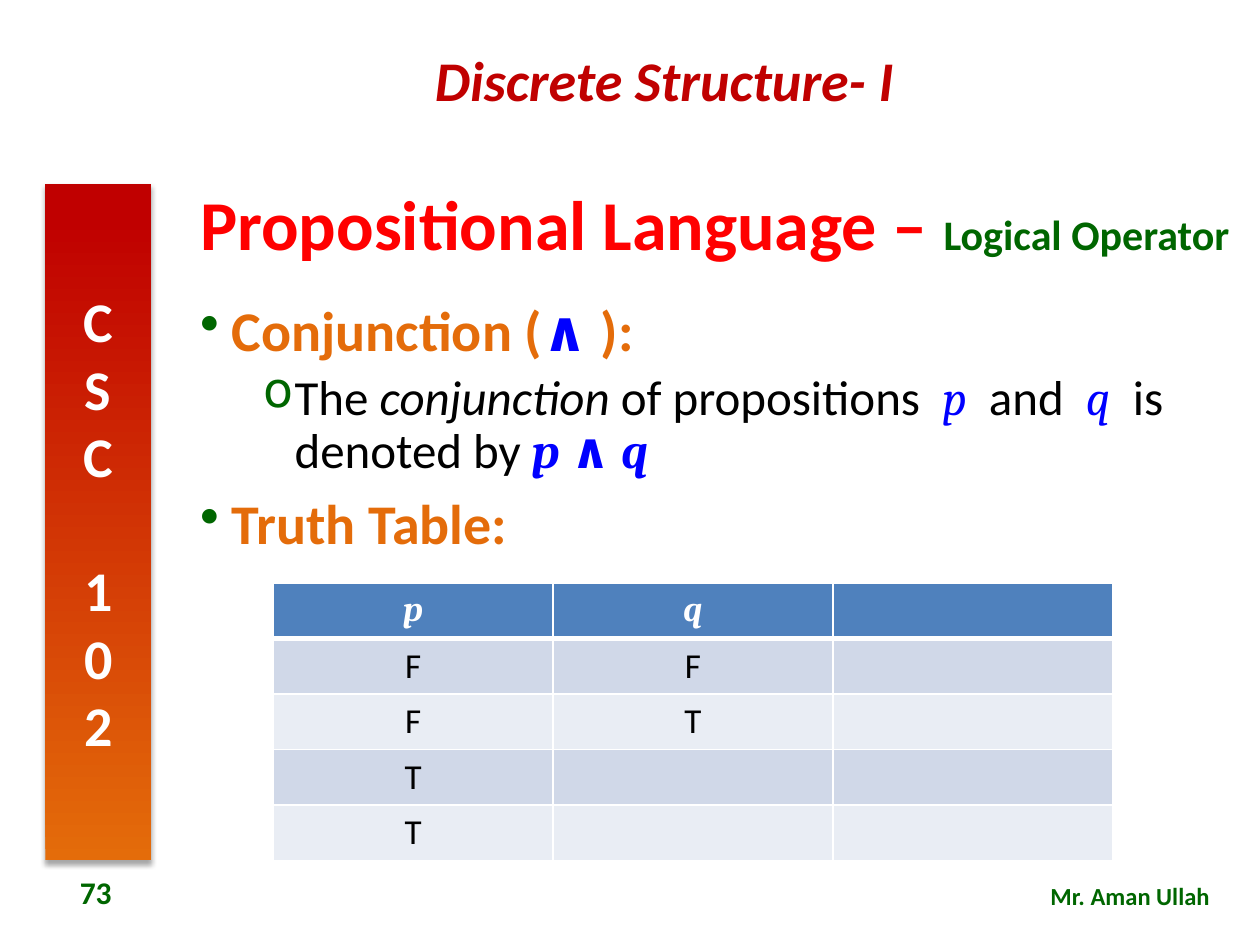
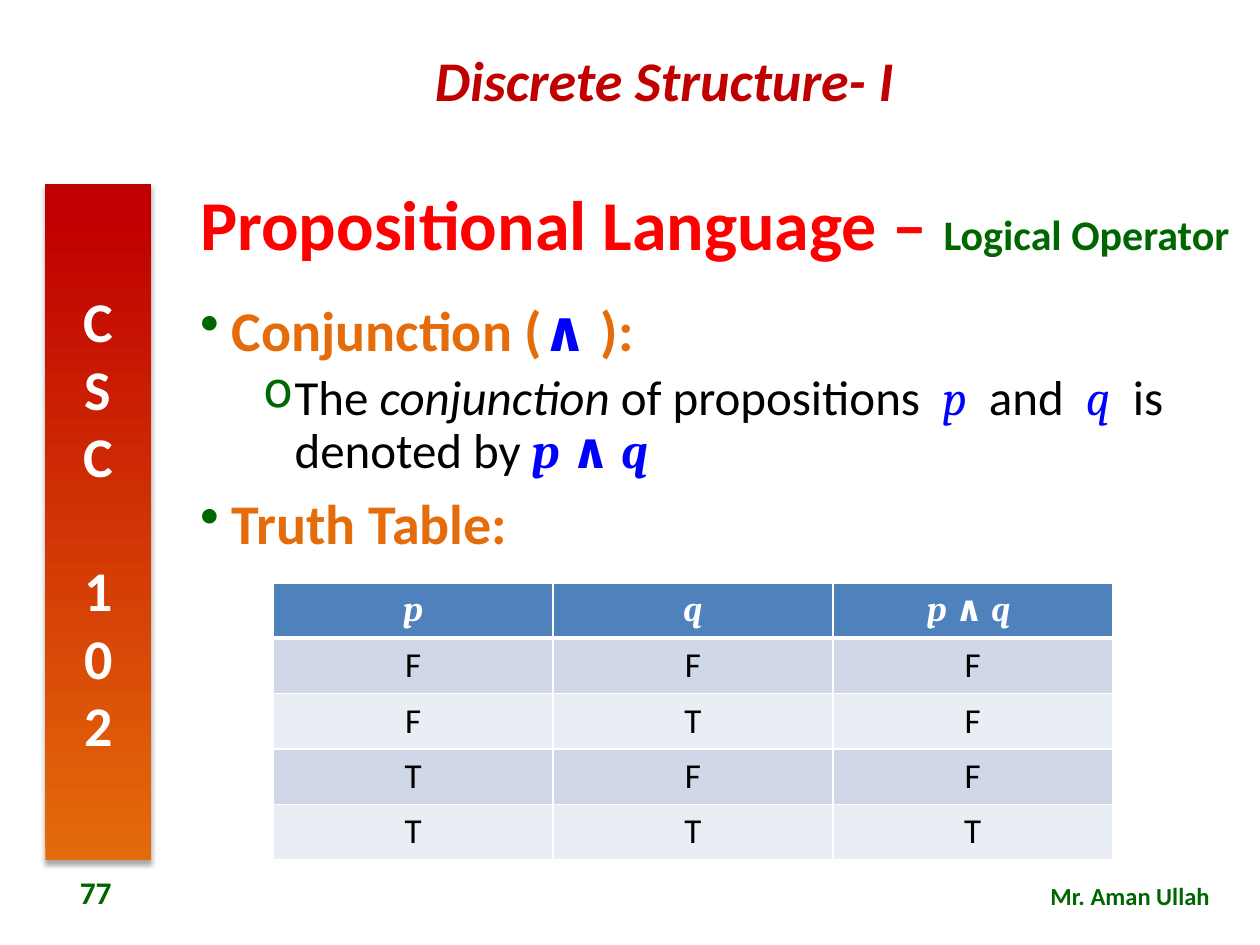
"""Builds two slides on logical conjunction, each with its truth table."""
from dataclasses import dataclass

from lxml import etree
from pptx import Presentation
from pptx.dml.color import RGBColor
from pptx.enum.shapes import MSO_SHAPE
from pptx.enum.text import MSO_ANCHOR, PP_ALIGN
from pptx.oxml.ns import qn
from pptx.util import Inches, Pt

RECT = MSO_SHAPE.RECTANGLE
TOP, MIDDLE = MSO_ANCHOR.TOP, MSO_ANCHOR.MIDDLE
LEFT, CENTER, RIGHT, JUSTIFY = PP_ALIGN.LEFT, PP_ALIGN.CENTER, PP_ALIGN.RIGHT, PP_ALIGN.JUSTIFY


@dataclass(frozen=True)
class Theme:
    sans: str = "Calibri"
    math: str = "Cambria"
    crimson: str = "C00000"
    red: str = "FF0000"
    orange: str = "E46C0A"
    green: str = "006600"
    blue: str = "0000FF"
    black: str = "000000"
    white: str = "FFFFFF"
    header: str = "4F81BD"
    bands: tuple = ("D0D8E8", "E9EDF4")
    title: int = 40
    heading: int = 32
    text: int = 28
    subtitle: int = 24
    cell: int = 20
    number: int = 18
    footer: int = 14


T = Theme()
WIDTH, HEIGHT = 10, 7.5
CONTENT_LEFT, CONTENT_WIDTH = 1.49, 8.39
TABLE_LEFT, TABLE_TOP, COLUMN_WIDTH, ROW_HEIGHT = 2.17, 4.63, 2.22, 0.44

STYLES = {
    "course": dict(size=T.heading, color=T.crimson, bold=True, italic=True),
    "band": dict(size=T.heading, color=T.white, bold=True),
    "title": dict(size=T.title, color=T.red, bold=True),
    "subtitle": dict(size=T.subtitle, color=T.green, bold=True),
    "footer": dict(size=T.footer, color=T.green, bold=True),
    "number": dict(size=T.number, color=T.green, bold=True),
    "heading": dict(size=T.heading, color=T.orange, bold=True),
    "heading_sign": dict(size=T.heading, color=T.blue, bold=True, font=T.math),
    "text": dict(size=T.text, color=T.black),
    "term": dict(size=T.text, color=T.black, italic=True),
    "variable": dict(size=T.text, color=T.blue, italic=True, font=T.math),
    "formula": dict(size=T.text, color=T.blue, bold=True, italic=True, font=T.math),
    "formula_sign": dict(size=T.text, color=T.blue, bold=True, font=T.math),
    "head": dict(size=T.cell, color=T.white, bold=True, italic=True, font=T.math),
    "head_sign": dict(size=T.cell, color=T.white, bold=True, font=T.math),
    "value": dict(size=T.cell, color=T.black),
}

COURSE, CODE, TEACHER = "Discrete Structure- I", "CSC 102", "Mr. Aman Ullah"
TITLE = [("Propositional Language – ", "title"), ("Logical Operator", "subtitle")]
BODY = [
    (0, [("Conjunction (", "heading"), ("∧", "heading_sign"), (" ):", "heading")]),
    (1, [("The ", "text"), ("conjunction", "term"), (" of propositions  ", "text"),
         ("p", "variable"), ("  and  ", "text"), ("q ", "variable"),
         (" is denoted by ", "text"), ("p ", "formula"), ("∧ ", "formula_sign"),
         ("q", "formula")]),
    (0, [("Truth Table:", "heading")]),
]
LEVELS = [dict(bullet="•", indent=0.25, before=10), dict(bullet="o", indent=0.75, before=5)]
P, Q = [("p", "head")], [("q", "head")]
P_AND_Q = [("p ", "head"), ("∧ ", "head_sign"), ("q ", "head")]
SLIDES = [
    dict(number="73", header=[P, Q, []], header_height=0.44,
         rows=[("F", "F", ""), ("F", "T", ""), ("T", "", ""), ("T", "", "")]),
    dict(number="77", header=[P, Q, P_AND_Q], header_height=0.41,
         rows=[("F", "F", "F"), ("F", "T", "F"), ("T", "F", "F"), ("T", "T", "T")]),
]


def rgb(color):
    return RGBColor.from_string(color)


def add_run(p, text, size, color, bold=False, italic=False, font=T.sans):
    r = p.add_run()
    r.text = text
    r.font.name, r.font.size = font, Pt(size)
    r.font.bold, r.font.italic = bold, italic
    r.font.color.rgb = rgb(color)


def write(p, runs, align=LEFT):
    p.alignment = align
    for text, style in runs:
        add_run(p, text, **STYLES[style])


def add_text(s, box, runs, align=LEFT, anchor=TOP, spacing=None):
    tf = s.shapes.add_textbox(*map(Inches, box)).text_frame
    tf.word_wrap, tf.vertical_anchor = True, anchor
    p = tf.paragraphs[0]
    p.line_spacing = spacing
    write(p, runs, align)
    return tf


def child(parent, tag, **attributes):
    return etree.SubElement(parent, qn(tag), {k: str(v) for k, v in attributes.items()})


def add_band(s):
    sp = s.shapes.add_shape(RECT, *map(Inches, (0.36, 1.46, 0.84, 5.37)))
    sp.shadow.inherit = False
    sp.line.fill.background()
    sp.fill.gradient()
    sp.fill.gradient_angle = 90
    for stop, color, position in zip(sp.fill.gradient_stops, (T.orange, T.crimson), (0, 0.95)):
        stop.color.rgb, stop.position = rgb(color), position
    effects = sp.element.spPr.find(qn("a:effectLst"))
    shadow = child(effects, "a:outerShdw", blurRad=Pt(3.1), dist=Pt(1.8),
                   dir=5400000, rotWithShape=0)
    child(child(shadow, "a:srgbClr", val=T.black), "a:alpha", val=35000)
    tf = sp.text_frame
    tf.vertical_anchor = MIDDLE
    sp.element.txBody.find(qn("a:bodyPr")).set("vert", "wordArtVert")
    write(tf.paragraphs[0], [(CODE, "band")], CENTER)


def add_frame(s, number):
    add_text(s, (2.11, 0.31, 6.33, 0.64), [(COURSE, "course")], CENTER)
    add_band(s)
    add_text(s, (6.8, 6.94, 2.9, 0.34), [(TEACHER, "footer")], RIGHT)
    add_text(s, (0.24, 6.88, 1.04, 0.4), [(number, "number")], CENTER, MIDDLE)
    add_text(s, (CONTENT_LEFT, 1.36, CONTENT_WIDTH, 0.89), TITLE, anchor=MIDDLE, spacing=0.9)


def add_body(s):
    tf = add_text(s, (CONTENT_LEFT, 2.36, CONTENT_WIDTH, 4.4), [])
    for i, (level, runs) in enumerate(BODY):
        p = tf.add_paragraph() if i else tf.paragraphs[0]
        look = LEVELS[level]
        p.level, p.line_spacing = level, 0.9
        if i:
            p.space_before = Pt(look["before"])
        pPr = p._p.get_or_add_pPr()
        pPr.set("marL", str(Inches(look["indent"])))
        pPr.set("indent", str(Inches(-0.25)))
        child(child(pPr, "a:buClr"), "a:srgbClr", val=T.green)
        child(pPr, "a:buChar", char=look["bullet"])
        write(p, runs, LEFT if i else JUSTIFY)


def format_cell(cell, runs, fill, top, bottom):
    tcPr = cell._tc.get_or_add_tcPr()
    for side, width in (("L", 1), ("R", 1), ("T", top), ("B", bottom)):
        ln = child(tcPr, f"a:ln{side}", w=Pt(width))
        child(child(ln, "a:solidFill"), "a:srgbClr", val=T.white)
    cell.fill.solid()
    cell.fill.fore_color.rgb = rgb(fill)
    write(cell.text_frame.paragraphs[0], runs, CENTER)


def add_truth_table(s, header, header_height, rows):
    values = [[[(v, "value")] if v else [] for v in row] for row in rows]
    grid = [header] + values
    heights = [header_height] + [ROW_HEIGHT] * len(rows)
    box = TABLE_LEFT, TABLE_TOP, COLUMN_WIDTH * len(header), sum(heights)
    table = s.shapes.add_table(len(grid), len(header), *map(Inches, box)).table
    for i, row in enumerate(grid):
        table.rows[i].height = Inches(heights[i])
        fill = T.bands[(i - 1) % 2] if i else T.header
        for j, runs in enumerate(row):
            format_cell(table.cell(i, j), runs, fill, 3 if i == 1 else 1, 1 if i else 3)


def main():
    prs = Presentation()
    prs.slide_width, prs.slide_height = Inches(WIDTH), Inches(HEIGHT)
    for content in SLIDES:
        s = prs.slides.add_slide(prs.slide_layouts[6])
        add_frame(s, content["number"])
        add_body(s)
        add_truth_table(s, content["header"], content["header_height"], content["rows"])
    prs.save("out.pptx")


if __name__ == "__main__":
    main()
